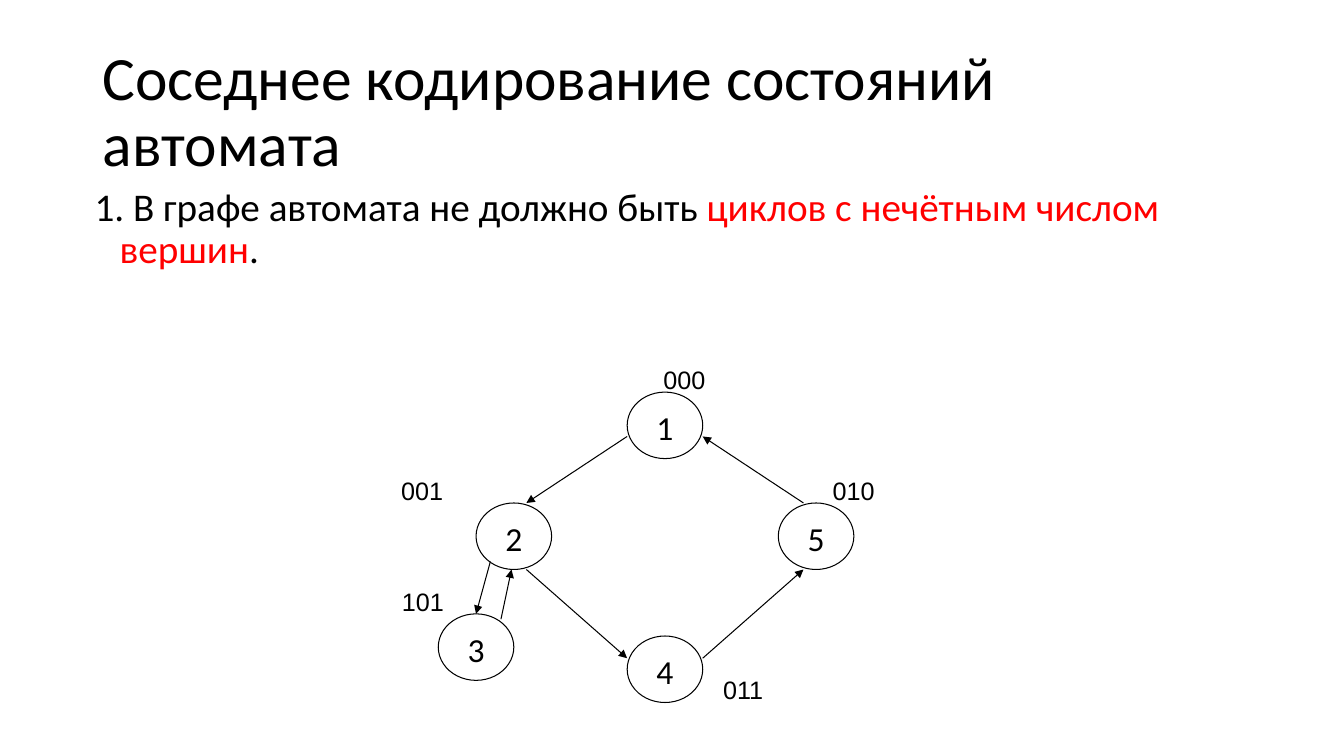
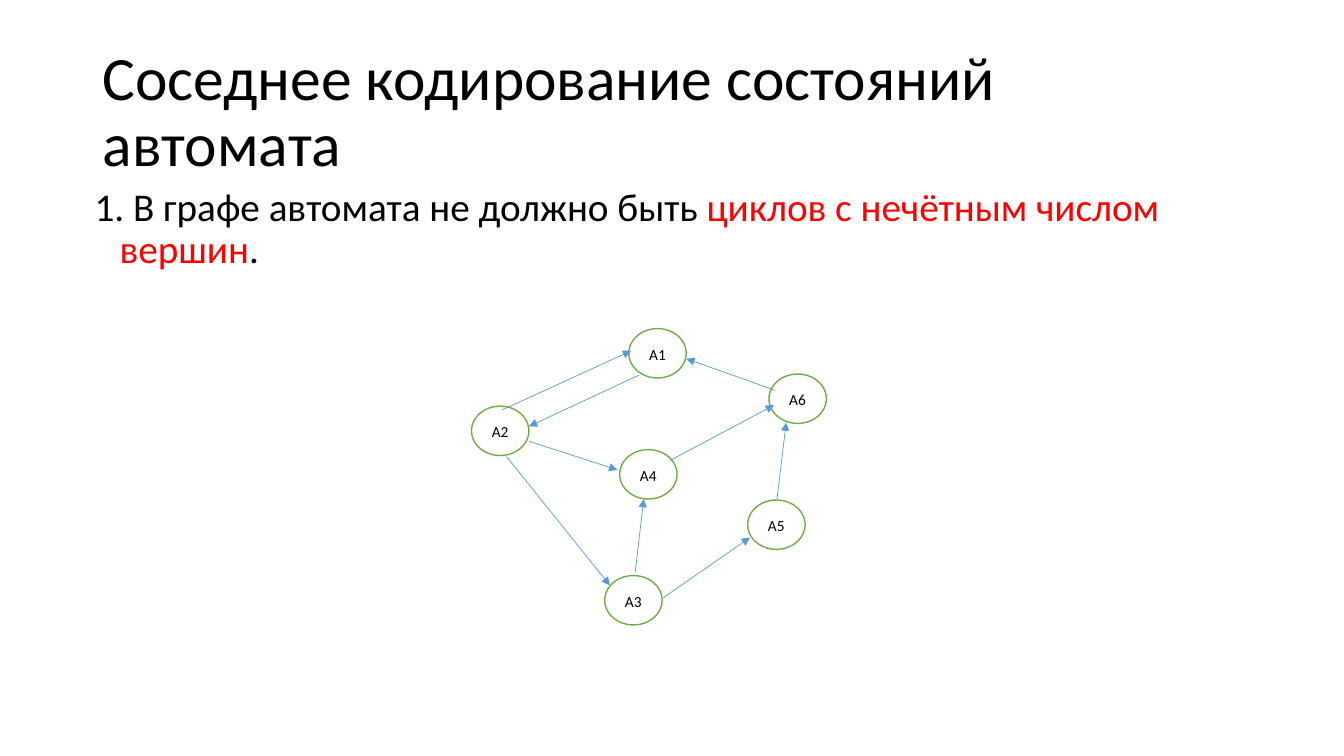
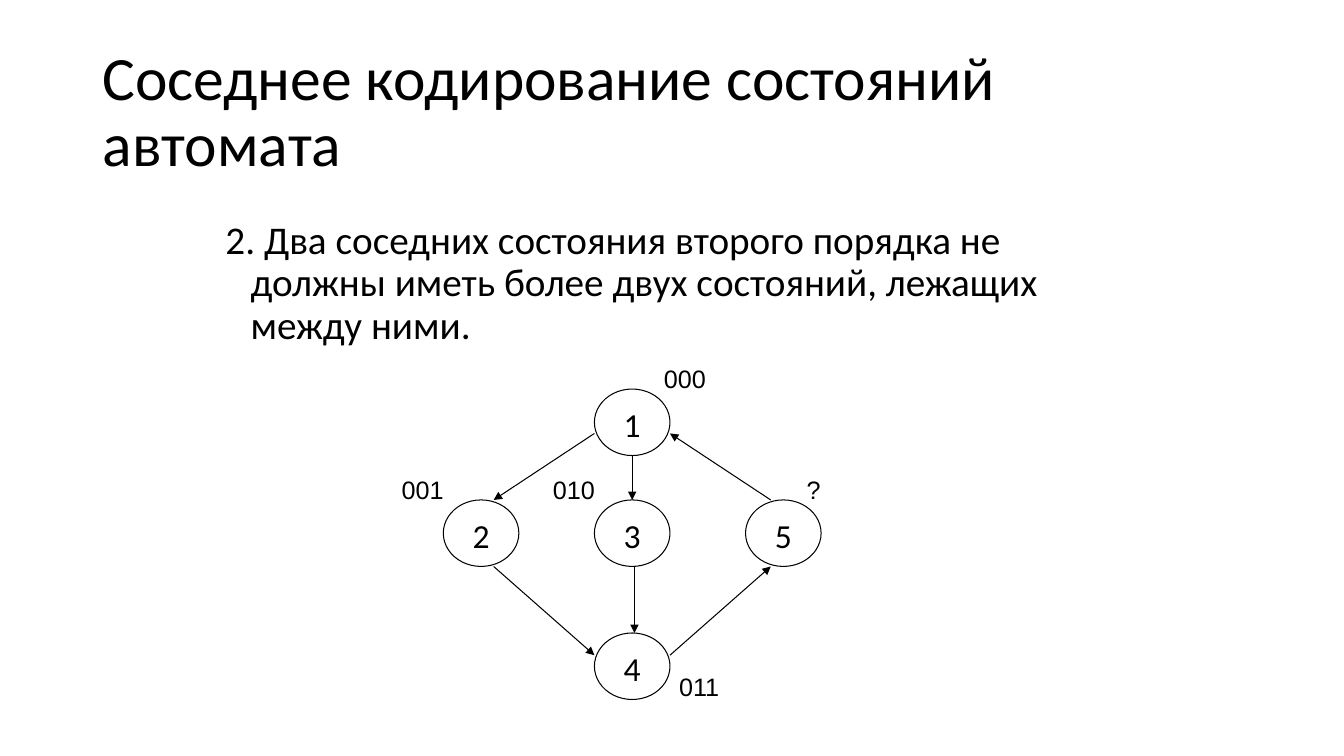
import pptx
import pptx.util
import pptx.dml.color
import pptx.enum.shapes
import pptx.enum.text
import pptx.oxml
import pptx.oxml.ns
from dataclasses import dataclass

WIDTH, HEIGHT = 13.34, 7.5
COLORS = {"text": "000000", "accent": "FF0000", "node": "FFFFFF",
          "black": "000000", "green": "70AD47", "blue": "5B9BD5"}
FONT, CODE_FONT = "Calibri", "Arial"
TITLE = "Соседнее кодирование состояний автомата"
TITLE_BOX = (0.92, 0.4, 11.5, 1.45)
RULE_BOX = (0.84, 1.81, 11.47, 1.14)
CODE_SIZE = (0.47, 0.3)
CYCLE_RULE = [("1. В графе автомата не должно быть ", "text"),
              ("циклов с нечётным числом вершин", "accent"), (".", "text")]
NEIGHBOUR_RULE = [("2. Два соседних состояния второго порядка не должны иметь "
                   "более двух состояний, лежащих между ними.", "text")]
ANCHOR = pptx.enum.text.MSO_ANCHOR
ROW = 5 / 3
LOW, HIGH = 2 / 3, 1 / 3


@dataclass
class GraphStyle:
    node: tuple
    outline: str
    outline_pt: float
    arrow: str
    arrow_pt: float
    font_pt: int
    anchor: object
    line_spacing: float
    space_after: int


LARGE = GraphStyle((0.75, 0.66), "black", 0.75, "black", 0.75, 24,
                   ANCHOR.TOP, 1.0, 10)
SMALL = GraphStyle((0.57, 0.49), "green", 1, "blue", 0.5, 11,
                   ANCHOR.MIDDLE, 1.07, 8)


def rgb(name):
    return pptx.dml.color.RGBColor.from_string(COLORS[name])


def inches(values):
    return [pptx.util.Inches(v) for v in values]


def set_font(font, name, size):
    font.name, font.size = name, pptx.util.Pt(size)
    font.color.rgb = rgb("text")


def add_text(s, box, runs, size, font=FONT, anchor=ANCHOR.TOP, inset=(0.1, 0.05)):
    tf = s.shapes.add_textbox(*inches(box)).text_frame
    tf.word_wrap = True
    tf.vertical_anchor = anchor
    tf.margin_left = tf.margin_right = pptx.util.Inches(inset[0])
    tf.margin_top = tf.margin_bottom = pptx.util.Inches(inset[1])
    p = tf.paragraphs[0]
    set_font(p.font, font, size)
    for text, color in runs:
        r = p.add_run()
        r.text = text
        if color != "text":
            r.font.color.rgb = rgb(color)
    return p


def add_title(s, box):
    p = add_text(s, box, [(TITLE, "text")], 44, anchor=ANCHOR.MIDDLE)
    p.line_spacing = 0.9


def add_rule(s, box, runs):
    p = add_text(s, box, runs, 28)
    p.line_spacing = 0.9
    ppr = p._p.get_or_add_pPr()
    indent = pptx.util.Inches(0.25)
    ppr.set("marL", str(indent))
    ppr.set("indent", str(-indent))


def add_node(s, box, name, style):
    sp = s.shapes.add_shape(pptx.enum.shapes.MSO_SHAPE.OVAL, *inches(box))
    sp.shadow.inherit = False
    sp.fill.solid()
    sp.fill.fore_color.rgb = rgb("node")
    sp.line.color.rgb = rgb(style.outline)
    sp.line.width = pptx.util.Pt(style.outline_pt)
    tf = sp.text_frame
    tf.vertical_anchor = style.anchor
    p = tf.paragraphs[0]
    p.text = name
    p.alignment = pptx.enum.text.PP_ALIGN.CENTER
    p.line_spacing = style.line_spacing
    p.space_after = pptx.util.Pt(style.space_after)
    set_font(p.font, FONT, style.font_pt)


def add_arrow(s, start, end, style):
    c = s.shapes.add_connector(pptx.enum.shapes.MSO_CONNECTOR.STRAIGHT,
                               *inches(start + end))
    c.line.color.rgb = rgb(style.arrow)
    c.line.width = pptx.util.Pt(style.arrow_pt)
    ns = pptx.oxml.ns.nsdecls("a")
    c.line._get_or_add_ln().append(
        pptx.oxml.parse_xml(f'<a:tailEnd {ns} type="triangle"/>'))
    c._element.spPr.append(pptx.oxml.parse_xml(f"<a:effectLst {ns}/>"))


def add_graph(s, origin, style, nodes, edges, codes=()):
    left, top = origin
    w, h = style.node

    def point(name, share):
        col, row = nodes[name]
        return left + (col + share[0]) * w, top + (row + share[1]) * h

    for name in nodes:
        add_node(s, point(name, (0, 0)) + style.node, name, style)
    for source, leave, target, arrive in edges:
        add_arrow(s, point(source, leave), point(target, arrive), style)
    for name, code, offset in codes:
        add_text(s, point(name, offset) + CODE_SIZE, [(code, "text")], 18,
                 CODE_FONT, inset=(0, 0))


RING = [
    ("1", (0, LOW), "2", (LOW, 0)),
    ("5", (HIGH, 0), "1", (1, LOW)),
    ("4", (1, HIGH), "5", (HIGH, 1)),
    ("2", (LOW, 1), "4", (0, HIGH)),
]

GRAPHS = [
    dict(
        origin=(4.35, 3.89), style=LARGE,
        nodes={"1": (2.5, 0), "2": (0.5, ROW), "5": (4.5, ROW),
               "4": (2.5, 11 / 3), "3": (0, 2 * ROW)},
        edges=RING + [("2", (0.19, 0.88), "3", (0.5, 0)),
                      ("3", (0.83, 0.08), "2", (0.47, 1))],
        codes=[("1", "000", (0.48, -0.42)), ("2", "001", (-0.99, -0.42)),
               ("5", "010", (0.72, -0.42)), ("4", "011", (1.27, 0.58)),
               ("3", "101", (-0.48, -0.42))],
    ),
    dict(
        origin=(4.68, 3.26), style=SMALL,
        nodes={"A1": (2.74, 0), "A2": (0, 1.57), "A5": (4.81, 3.47),
               "A6": (5.18, 0.92), "A4": (2.58, 2.45), "A3": (2.32, 5)},
        edges=[("A1", (0.18, 0.94), "A2", (1, 0.41)),
               ("A2", (0.53, 0.08), "A1", (0.04, 0.45)),
               ("A2", (0.61, 1.02), "A3", (0.09, 0.2)),
               ("A2", (1, 0.71), "A4", (-0.04, 0.41)),
               ("A3", (0.53, -0.06), "A4", (0.42, 1)),
               ("A3", (1.02, 0.45), "A5", (0.04, 0.76)),
               ("A5", (0.51, -0.02), "A6", (0.3, 0.98)),
               ("A6", (0.11, 0.33), "A1", (1, 0.61)),
               ("A4", (0.88, 0.22), "A6", (0.09, 0.63))],
    ),
    dict(
        origin=(4.4, 3.86), style=LARGE,
        nodes={"1": (2, 0), "2": (0, ROW), "5": (4, ROW),
               "3": (2, ROW), "4": (2, 11 / 3)},
        edges=RING + [("1", (0.5, 1), "3", (0.5, 0)),
                      ("3", (0.53, 1), "4", (0.53, 0))],
        codes=[("1", "000", (0.92, -0.38)), ("2", "001", (-0.55, -0.38)),
               ("3", "010", (-0.55, -0.38)), ("5", "?", (0.81, -0.38)),
               ("4", "011", (1.12, 0.58))],
    ),
]
RULES = [(RULE_BOX, CYCLE_RULE), (RULE_BOX, CYCLE_RULE),
         ((2.14, 2.14, 9, 1.61), NEIGHBOUR_RULE)]


def add_graph_slide(prs, rule, graph):
    s = prs.slides.add_slide(prs.slide_layouts[6])
    add_title(s, TITLE_BOX)
    add_rule(s, *rule)
    add_graph(s, **graph)


def main():
    prs = pptx.Presentation()
    prs.slide_width, prs.slide_height = inches((WIDTH, HEIGHT))
    for rule, graph in zip(RULES, GRAPHS):
        add_graph_slide(prs, rule, graph)
    prs.save("out.pptx")


if __name__ == "__main__":
    main()
